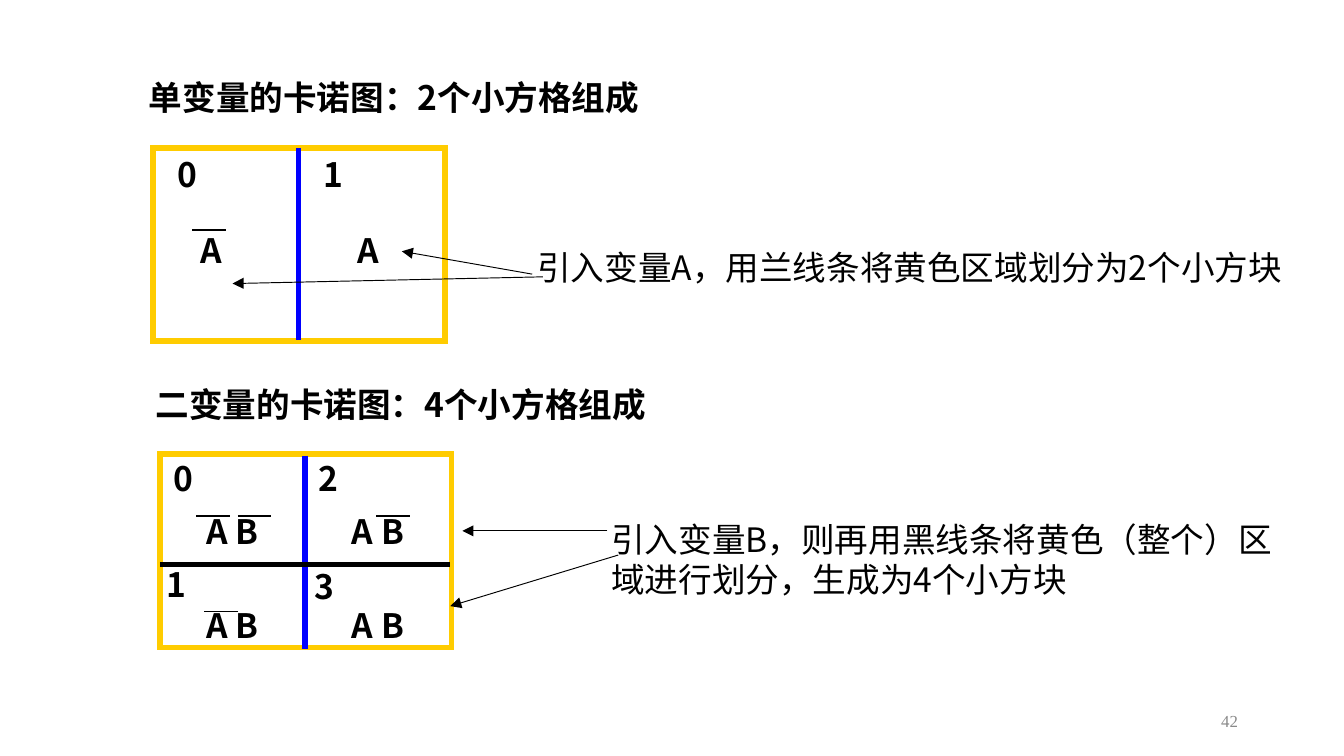
from lxml.etree import SubElement
from pptx import Presentation
from pptx.dml.color import RGBColor
from pptx.enum.shapes import MSO_CONNECTOR as Connector, MSO_SHAPE as Shape
from pptx.enum.text import MSO_ANCHOR as Anchor, PP_ALIGN as Align
from pptx.oxml.ns import qn
from pptx.util import Inches, Pt

COLORS = {"ink": "000000", "paper": "FFFFFF", "frame": "FFCC00",
          "divider": "0000FF", "number": "898989"}
SANS, SERIF = "Noto Sans CJK SC", "Times New Roman"
MAP_SIZE = (2.17, 1.44)
BAR_LENGTH = 0.25


def color(name):
    """Return the named palette colour."""
    return RGBColor.from_string(COLORS[name])


def add_text(slide, box, text, font=SANS, size=18, ink="ink", bold=False, **layout):
    """Place one wrapped paragraph in a box of left, top, width and height."""
    frame = slide.shapes.add_textbox(*map(Inches, box)).text_frame
    frame.word_wrap = True
    frame.vertical_anchor = layout.pop("anchor", Anchor.TOP)
    para = frame.paragraphs[0]
    for name, value in layout.items():
        setattr(para, name, value)
    span = para.add_run()
    span.text = text
    for name, value in {"name": font, "size": Pt(size), "bold": bold}.items():
        setattr(span.font, name, value)
    span.font.color.rgb = color(ink)
    SubElement(span.font._element, qn("a:ea")).set("typeface", font)


def add_line(slide, start, end, width, ink="ink", arrow=False):
    """Draw a straight line, with an arrowhead at its end if asked."""
    points = map(Inches, (*start, *end))
    line = slide.shapes.add_connector(Connector.STRAIGHT, *points)
    line.line.width = Pt(width)
    line.line.color.rgb = color(ink)
    if arrow:
        SubElement(line.line._get_or_add_ln(), qn("a:tailEnd")).set("type", "triangle")
    SubElement(line._element.spPr, qn("a:effectLst"))


def add_heading(slide, box, text):
    """Place a bold heading with tight line spacing."""
    add_text(slide, box, text, bold=True, line_spacing=0.9)


def add_map(slide, left, top, dividers, numbers, terms, bars, bar_width):
    """Draw a Karnaugh map whose parts are offsets from its top left corner."""
    def place(x, y):
        return left + x, top + y

    frame = slide.shapes.add_shape(Shape.RECTANGLE, *map(Inches, (left, top, *MAP_SIZE)))
    frame.shadow.inherit = False
    frame.fill.solid()
    frame.fill.fore_color.rgb = color("paper")
    frame.line.color.rgb = color("frame")
    frame.line.width = Pt(3)
    SubElement(frame.line._get_or_add_ln(), qn("a:miter")).set("lim", "800000")
    for start, end, ink in dividers:
        add_line(slide, place(*start), place(*end), 3, ink)
    for width, labels in ((0.58, numbers), (0.75, terms)):
        for text, x, y in labels:
            add_text(slide, (*place(x, y), width, 0.4), text, bold=True)
    for x, y in bars:
        add_line(slide, place(x, y), place(x + BAR_LENGTH, y), bar_width)


def add_note(slide, box, text, arrows):
    """Place an explanation and the arrows leading from it to the map."""
    add_text(slide, box, text)
    left, top = box[:2]
    for (x, y), end in arrows:
        add_line(slide, (left + x, top + y), end, 0.5, arrow=True)


def add_page_number(slide, box, number):
    """Place the page number at the right of its box."""
    add_text(slide, box, number, SERIF, 9, "number",
             anchor=Anchor.MIDDLE, alignment=Align.RIGHT)


def main():
    """Build the slide and save the deck."""
    deck = Presentation()
    deck.slide_width = Inches(10)
    deck.slide_height = deck.slide_width * 9 // 16
    slide = deck.slides.add_slide(deck.slide_layouts[6])

    add_heading(slide, (1.01, 0.56, 4.31, 0.52), "单变量的卡诺图：2个小方格组成")
    add_map(slide, 1.14, 1.1,
            dividers=[((1.08, 0), (1.08, 1.43), "divider")],
            numbers=[("0", 0.08, 0), ("1", 1.17, 0)],
            terms=[("A", 0.25, 0.56), ("A", 1.42, 0.56)],
            bars=[(0.29, 0.61)], bar_width=1)
    add_note(slide, (3.9, 1.79, 5.74, 0.4),
             "引入变量A，用兰线条将黄色区域划分为2个小方块",
             [((0.06, 0.25), (2.99, 1.87)), ((0.14, 0.27), (1.73, 2.11))])

    add_heading(slide, (1.06, 2.84, 8.5, 0.5), "二变量的卡诺图：4个小方格组成")
    add_map(slide, 1.19, 3.38,
            dividers=[((1.08, 0.01), (1.08, 1.45), "divider"),
                      ((0, 0.82), (2.16, 0.82), "ink")],
            numbers=[("0", 0, -0.02), ("1", -0.05, 0.77),
                     ("2", 1.08, -0.02), ("3", 1.05, 0.78)],
            terms=[("A B", x, y) for x in (0.25, 1.33) for y in (0.37, 1.07)],
            bars=[(0.27, 0.46), (0.58, 0.46), (0.33, 1.17), (1.61, 0.46)],
            bar_width=0.75)
    add_note(slide, (4.45, 3.81, 5.15, 0.71),
             "引入变量B，则再用黑线条将黄色（整个）区域进行划分，生成为4个小方块",
             [((0.07, 0.14), (3.44, 3.95)), ((0.15, 0.32), (3.35, 4.51))])

    add_page_number(slide, (7.06, 5.21, 2.25, 0.3), "42")
    deck.save("out.pptx")


if __name__ == "__main__":
    main()
